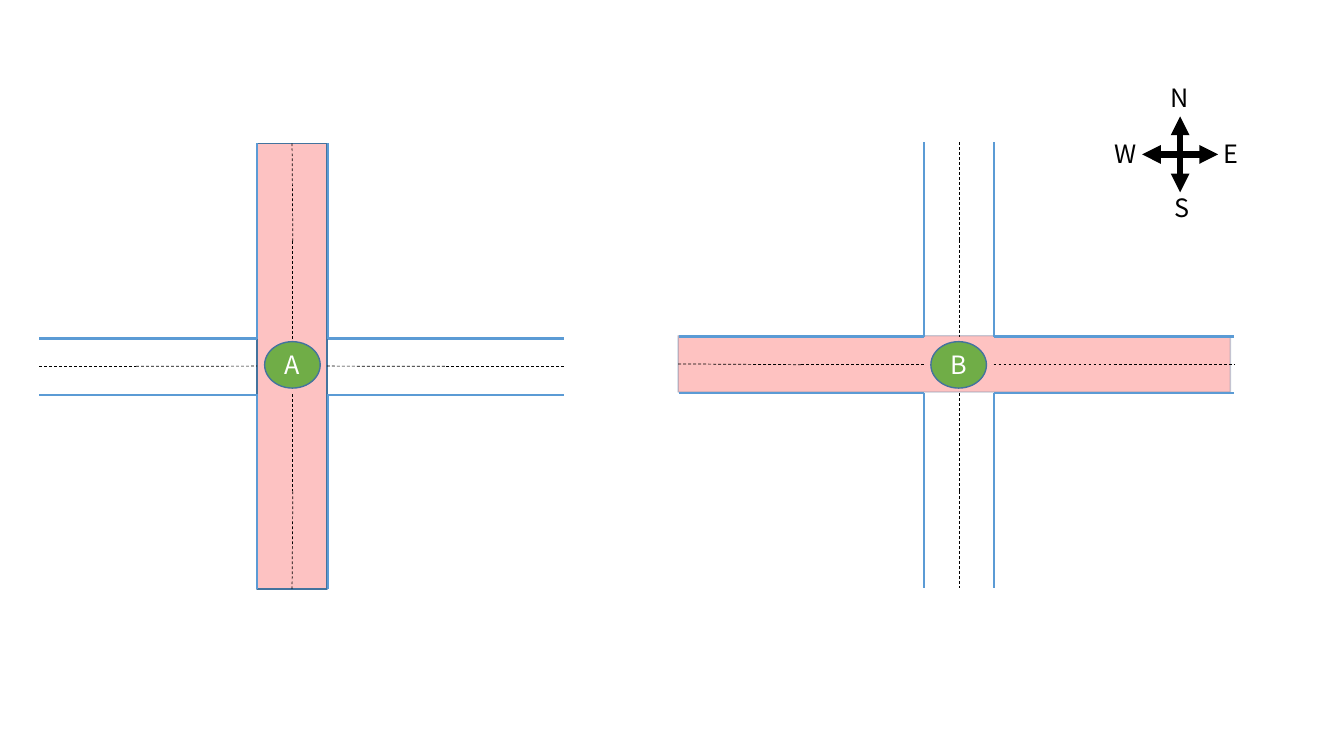
from math import hypot

from lxml.etree import SubElement
from pptx import Presentation
from pptx.dml.color import RGBColor
from pptx.enum.dml import MSO_LINE as Dash
from pptx.enum.shapes import MSO_CONNECTOR as Connector, MSO_SHAPE as Shape
from pptx.enum.text import MSO_ANCHOR as Anchor, MSO_AUTO_SIZE as AutoSize, PP_ALIGN as Align
from pptx.oxml.ns import qn
from pptx.util import Cm, Pt


def paint(fill, value):
    fill.solid()
    fill.fore_color.rgb = RGBColor.from_string(value)


class RoadMap:
    """Draws roads, junctions and a compass on one slide in a shared style."""

    FONT = "Noto Sans CJK SC"
    KERB, EDGE, JUNCTION, INK, WHITE = "5B9BD5", "43739E", "70AD47", "000000", "FFFFFF"

    def __init__(self, slide):
        self.shapes = slide.shapes

    def shape(self, kind, box, fill, edge=EDGE, opacity=(100, 100)):
        shape = self.shapes.add_shape(kind, *map(Cm, box))
        shape.shadow.inherit = False
        paint(shape.fill, fill)
        paint(shape.line.fill, edge)
        shape.line.width = Pt(1)
        for color, percent in zip(list(shape.element.spPr.iter(qn("a:srgbClr"))), opacity):
            if percent < 100:
                SubElement(color, qn("a:alpha"), val=str(percent * 1000))
        return shape

    def line(self, start, end, color=INK, width=0.5, dashed=False, arrow=False):
        line = self.shapes.add_connector(Connector.STRAIGHT, *map(Cm, (*start, *end)))
        paint(line.line.fill, color)
        line.line.width = Pt(width)
        properties = line.element.spPr
        if dashed:
            line.line.dash_style = Dash.DASH
        if arrow:
            SubElement(properties.find(qn("a:ln")), qn("a:tailEnd"), type="triangle")
        SubElement(properties, qn("a:effectLst"))
        return line

    def letter(self, frame, text, color, align):
        frame.text = text
        paragraph = frame.paragraphs[0]
        paragraph.alignment = align
        paragraph.font.name = self.FONT
        paragraph.font.size = Pt(18)
        paint(paragraph.font.fill, color)

    def label(self, text, left, top, width=0.5, align=Align.LEFT):
        frame = self.shapes.add_textbox(*map(Cm, (left, top, width, 1.02))).text_frame
        frame.word_wrap = True
        frame.auto_size = AutoSize.SHAPE_TO_FIT_TEXT
        if align == Align.LEFT:
            frame.margin_right = 0
        self.letter(frame, text, self.INK, align)

    def join(self, lane, band, road, start, end):
        x, y, width, height = road
        sides = ((x + width / 2, y), (x, y + height / 2),
                 (x + width / 2, y + height), (x + width, y + height / 2))
        for side, point in enumerate(sides):
            for target, connect in ((start, lane.begin_connect), (end, lane.end_connect)):
                if hypot(point[0] - target[0], point[1] - target[1]) < 0.05:
                    connect(band, side)

    def crossing(self, name, road, road_style, lanes_x, lanes_y, stops_x, stops_y):
        band = self.shape(Shape.RECTANGLE, road, **road_style)
        for lanes, stops, vertical in ((lanes_x, stops_y, True), (lanes_y, stops_x, False)):
            before, after = stops[:3], stops[3:]
            for near, far in [*zip(before, before[1:]), *zip(after, after[1:])]:
                for index, lane in enumerate(lanes):
                    start, end = ((lane, near), (lane, far)) if vertical else ((near, lane), (far, lane))
                    if index == 1:
                        self.join(self.line(start, end, dashed=True), band, road, start, end)
                    else:
                        self.line(start, end, self.KERB, 1.5)
        junction = self.shape(Shape.OVAL, (lanes_x[1] - 0.71, 8.61, 1.4, 1.17), self.JUNCTION)
        frame = junction.text_frame
        frame.vertical_anchor = Anchor.MIDDLE
        frame.margin_left = frame.margin_right = 0
        self.letter(frame, name, self.WHITE, Align.CENTER)

    def compass(self, x, y, reach):
        for dx, dy in ((0, -1), (1, 0), (-1, 0), (0, 1)):
            self.line((x, y), (x + dx * reach, y + dy * reach), width=4.5, arrow=True)
        self.label("W", 27.84, 3.35)
        self.label("N", 29.26, 1.96)
        self.label("S", 29.34, 4.72, 0.88, Align.CENTER)
        self.label("E", 30.58, 3.35)


def main():
    deck = Presentation()
    deck.slide_width, deck.slide_height = Cm(33.87), Cm(19.05)
    roads = RoadMap(deck.slides.add_slide(deck.slide_layouts[6]))
    roads.crossing(
        "B", (17.09, 8.46, 13.92, 1.42), dict(fill="FD3833", edge="41719C", opacity=(30, 30)),
        lanes_x=(23.28, 24.17, 25.06), lanes_y=(8.48, 9.19, 9.91),
        stops_x=(17.12, 20.19, 23.28, 25.04, 28.07, 31.11),
        stops_y=(3.58, 6.04, 8.48, 9.91, 12.37, 14.82))
    roads.compass(29.74, 3.89, 0.96)
    roads.crossing(
        "A", (6.48, 3.61, 1.76, 11.23), dict(fill="F93737", opacity=(30, 100)),
        lanes_x=(6.48, 7.38, 8.26), lanes_y=(8.53, 9.23, 9.96),
        stops_x=(0.99, 3.43, 6.48, 8.26, 11.25, 14.22),
        stops_y=(3.61, 6.07, 8.53, 9.94, 12.38, 14.83))
    deck.save("out.pptx")


if __name__ == "__main__":
    main()
